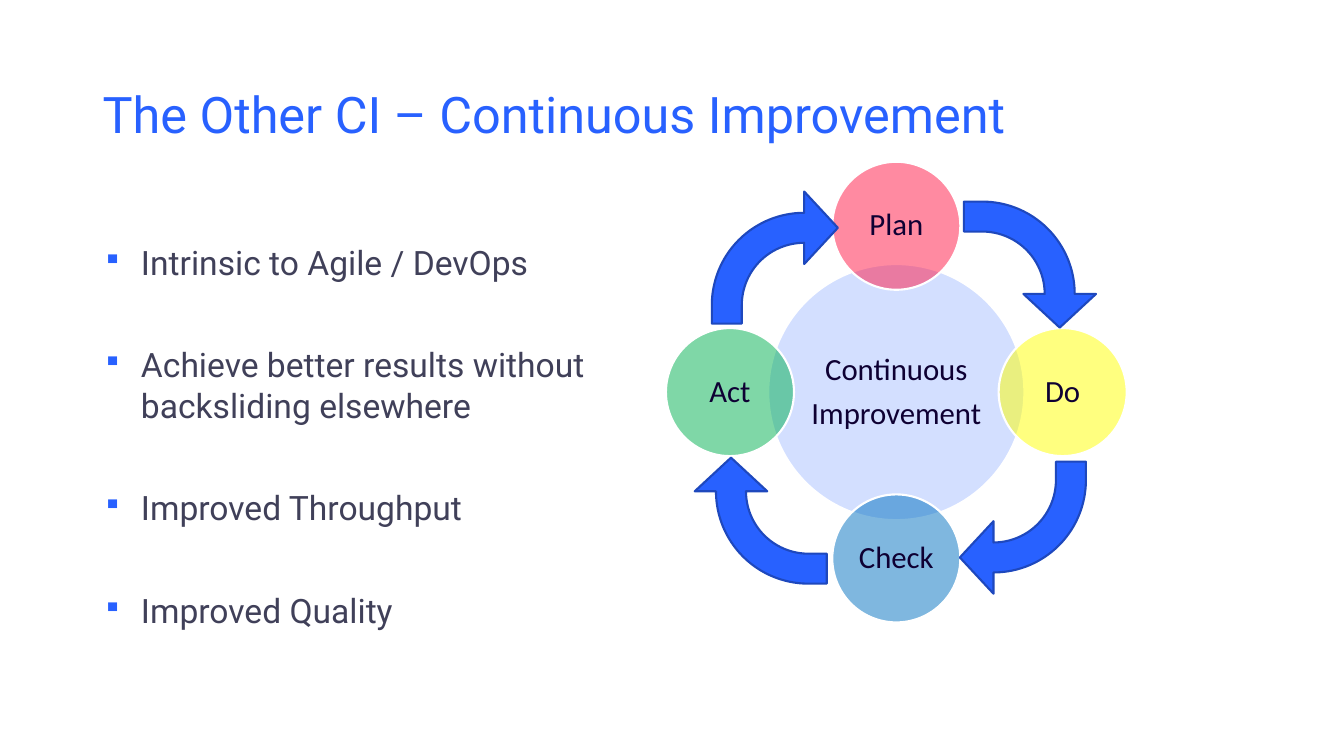
"""Build a slide on continuous improvement with a plan-do-check-act wheel."""
import math
from lxml import etree
from pptx import Presentation
from pptx.dml.color import RGBColor
from pptx.enum.shapes import MSO_SHAPE
from pptx.enum.text import MSO_ANCHOR, PP_ALIGN
from pptx.oxml.ns import qn
from pptx.util import Inches, Pt

OVAL, BENT = MSO_SHAPE.OVAL, MSO_SHAPE.BENT_ARROW
MIDDLE, CENTER = MSO_ANCHOR.MIDDLE, PP_ALIGN.CENTER
BLUE = RGBColor(0x28, 0x61, 0xFF)
NAVY = RGBColor(0x1E, 0x48, 0xBD)
SLATE = RGBColor(0x40, 0x40, 0x59)
INK = RGBColor(0x0E, 0x00, 0x33)
WHITE = RGBColor(0xFF, 0xFF, 0xFF)
PALE = RGBColor(0xA9, 0xC0, 0xFF)
RED = RGBColor(0xFF, 0x17, 0x44)
YELLOW = RGBColor(0xFF, 0xFF, 0x00)
AZURE = RGBColor(0x00, 0x70, 0xC0)
GREEN = RGBColor(0x00, 0xB0, 0x50)

deck = Presentation()
deck.slide_width, deck.slide_height = Inches(13.33), Inches(7.5)
slide = deck.slides.add_slide(deck.slide_layouts[6])


def add_text(para, text, font, size, color):
    run = para.add_run()
    run.text = text
    run.font.name = font
    run.font.size = Pt(size)
    run.font.color.rgb = color


def add_form(kind, left, top, wide, high, fill, line):
    form = slide.shapes.add_shape(
        kind, Inches(left), Inches(top), Inches(wide), Inches(high))
    form.shadow.inherit = False
    form.fill.solid()
    form.fill.fore_color.rgb = fill
    form.line.color.rgb = line
    form.line.width = Pt(1.5)
    return form


title = slide.shapes.add_textbox(
    Inches(0.92), Inches(0.4), Inches(11.5), Inches(1.45)).text_frame
title.word_wrap = True
title.vertical_anchor = MIDDLE
add_text(title.paragraphs[0], "The Other CI – Continuous Improvement",
         "Roboto", 36, BLUE)

body = slide.shapes.add_textbox(
    Inches(0.92), Inches(2), Inches(5.41), Inches(4.65)).text_frame
body.word_wrap = True
body.vertical_anchor = MIDDLE
points = ["Intrinsic to Agile / DevOps",
          "Achieve better results without backsliding elsewhere",
          "Improved Throughput", "Improved Quality"]
for i, point in enumerate(points):
    para = body.add_paragraph() if i else body.paragraphs[0]
    props = para._p.get_or_add_pPr()
    props.set("marL", str(Inches(0.38)))
    props.set("indent", str(-Inches(0.38)))
    tint = etree.SubElement(props, qn("a:buClr"))
    etree.SubElement(tint, qn("a:srgbClr"), val=str(BLUE))
    etree.SubElement(props, qn("a:buSzPct"), val="80000")
    etree.SubElement(props, qn("a:buChar"), char="▪")
    para.space_before = Pt(44.5 if i else 0)
    add_text(para, point, "Roboto", 24, SLATE)

mid_x, mid_y, reach = 8.89, 3.89, 1.65
discs = [(["Continuous", "Improvement"], 0, 0, 2.54, PALE)]
steps = [("Plan", RED), ("Do", YELLOW), ("Check", AZURE), ("Act", GREEN)]
for i, (name, color) in enumerate(steps):
    turn = math.radians(90 * i)
    discs.append(([name], reach * math.sin(turn), -reach * math.cos(turn),
                  1.27, color))

for lines, dx, dy, size, color in discs:
    disc = add_form(OVAL, mid_x + dx - size / 2, mid_y + dy - size / 2,
                    size, size, color, WHITE)
    shade = disc.fill._xPr.find(qn("a:solidFill"))[0]
    etree.SubElement(shade, qn("a:alpha"), val="50000")
    frame = disc.text_frame
    frame.word_wrap = True
    frame.vertical_anchor = MIDDLE
    frame.margin_left = frame.margin_right = Inches(0.03)
    frame.margin_top = frame.margin_bottom = Inches(0.03)
    for i, line in enumerate(lines):
        para = frame.add_paragraph() if i else frame.paragraphs[0]
        para.alignment = CENTER
        para.line_spacing = 0.9
        para.space_after = Pt(7.7)
        add_text(para, line, "Calibri", 22, INK)

arrows = [(9.59, 1.97, 90), (9.52, 4.58, 180), (6.92, 4.51, 270),
          (7.06, 1.9, 0)]
for left, top, turn in arrows:
    arrow = add_form(BENT, left, top, 1.25, 1.31, BLUE, NAVY)
    arrow.rotation = turn
    for i, ratio in enumerate([0.238, 0.288, 0.267, 0.875]):
        arrow.adjustments[i] = ratio

deck.save("out.pptx")
